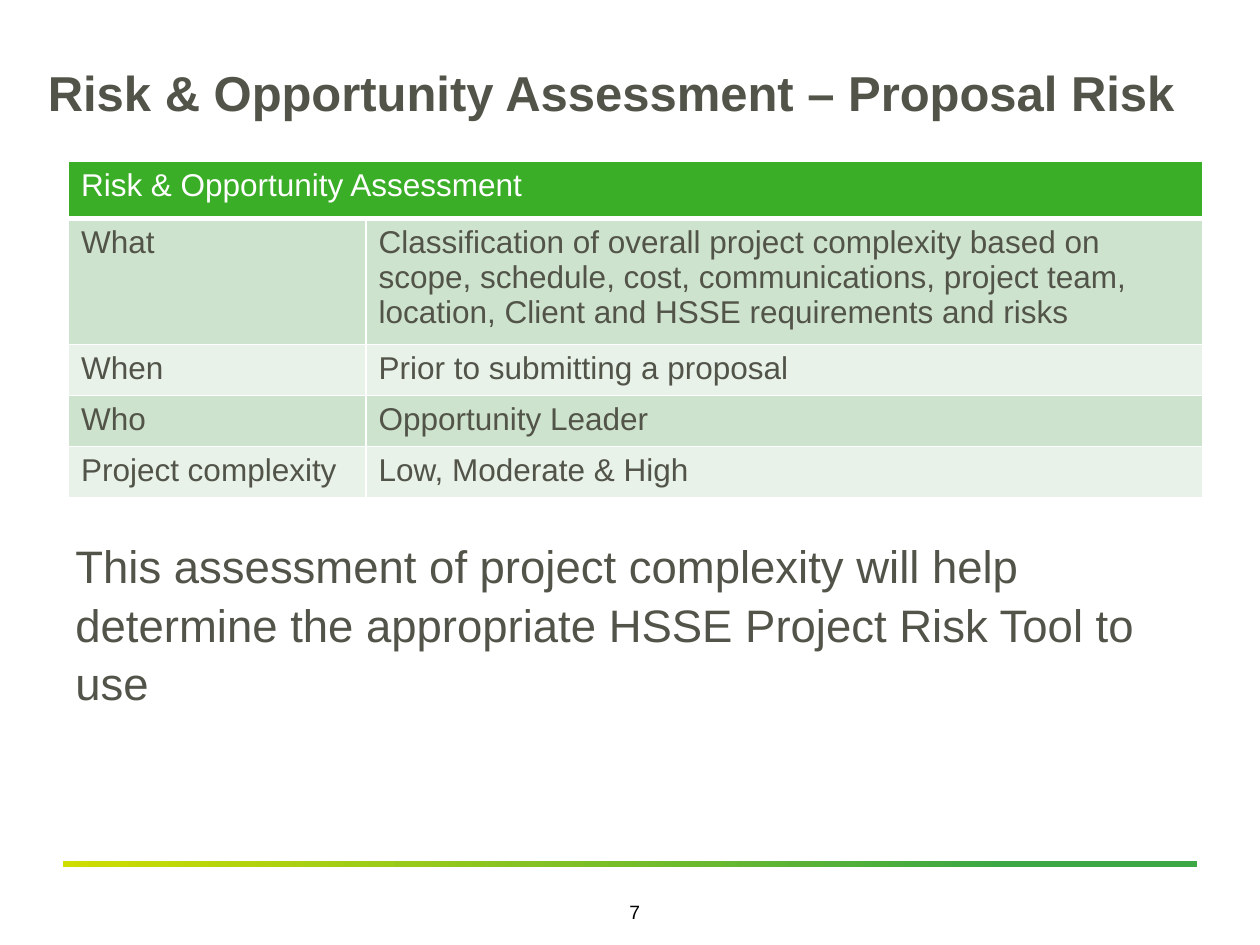
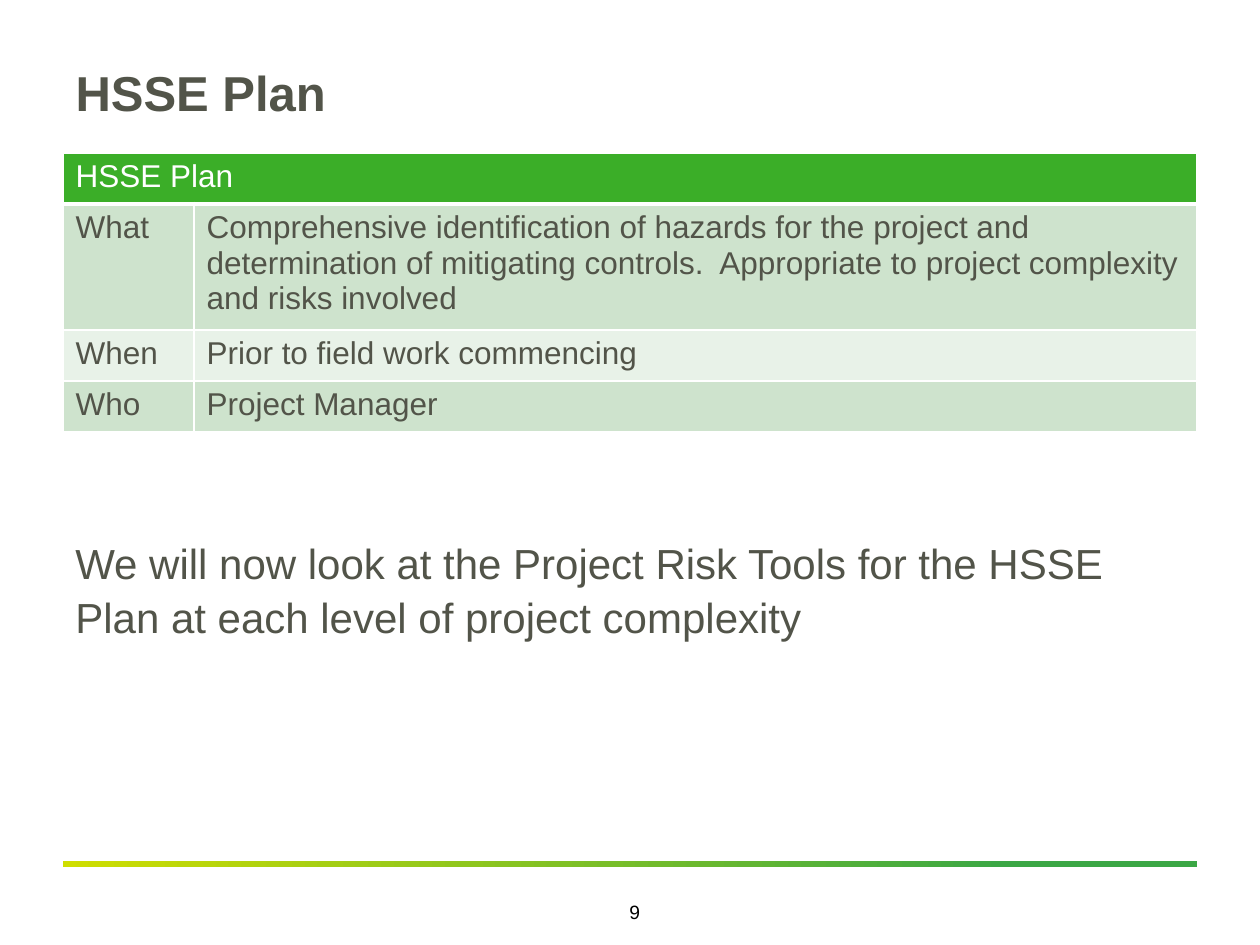
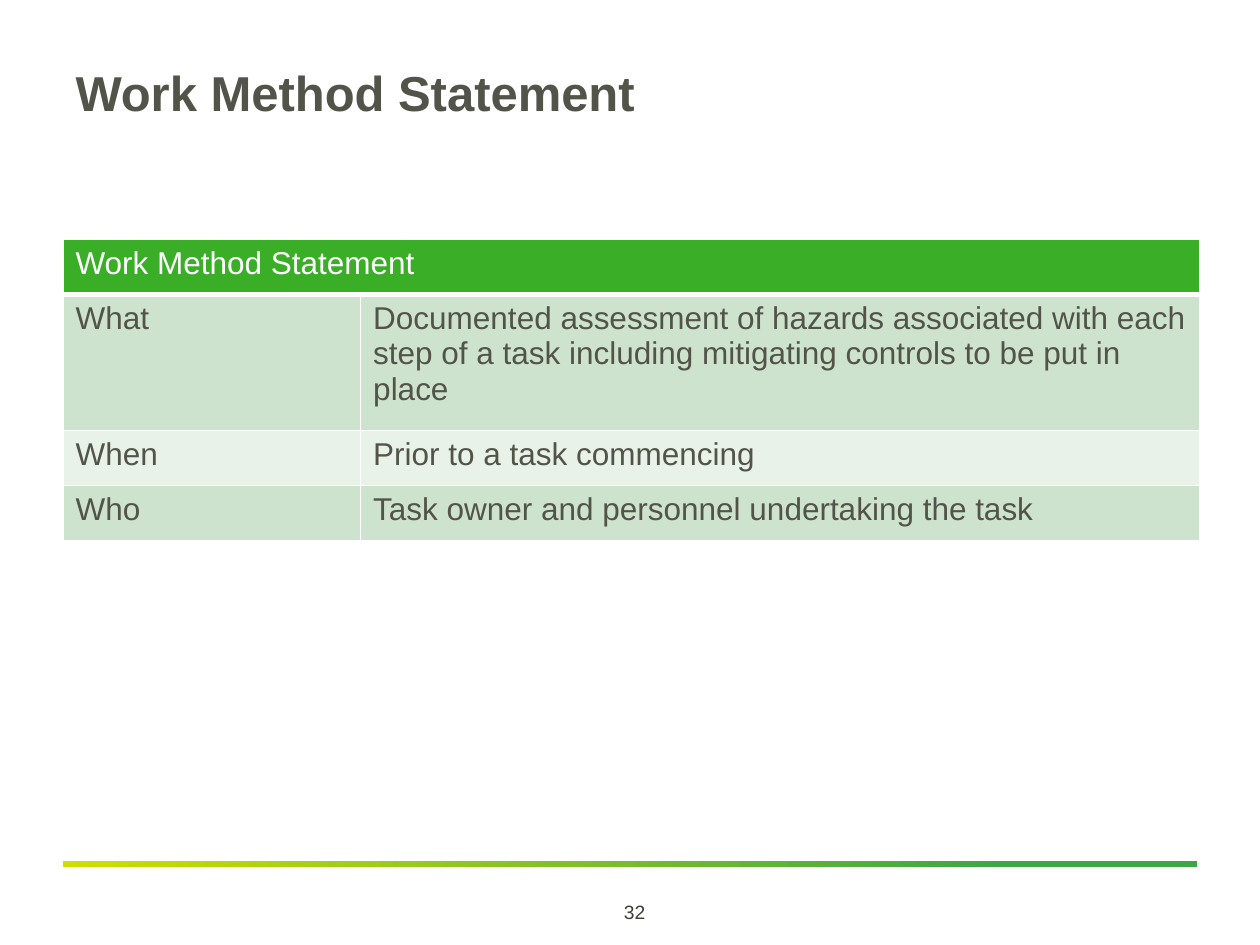
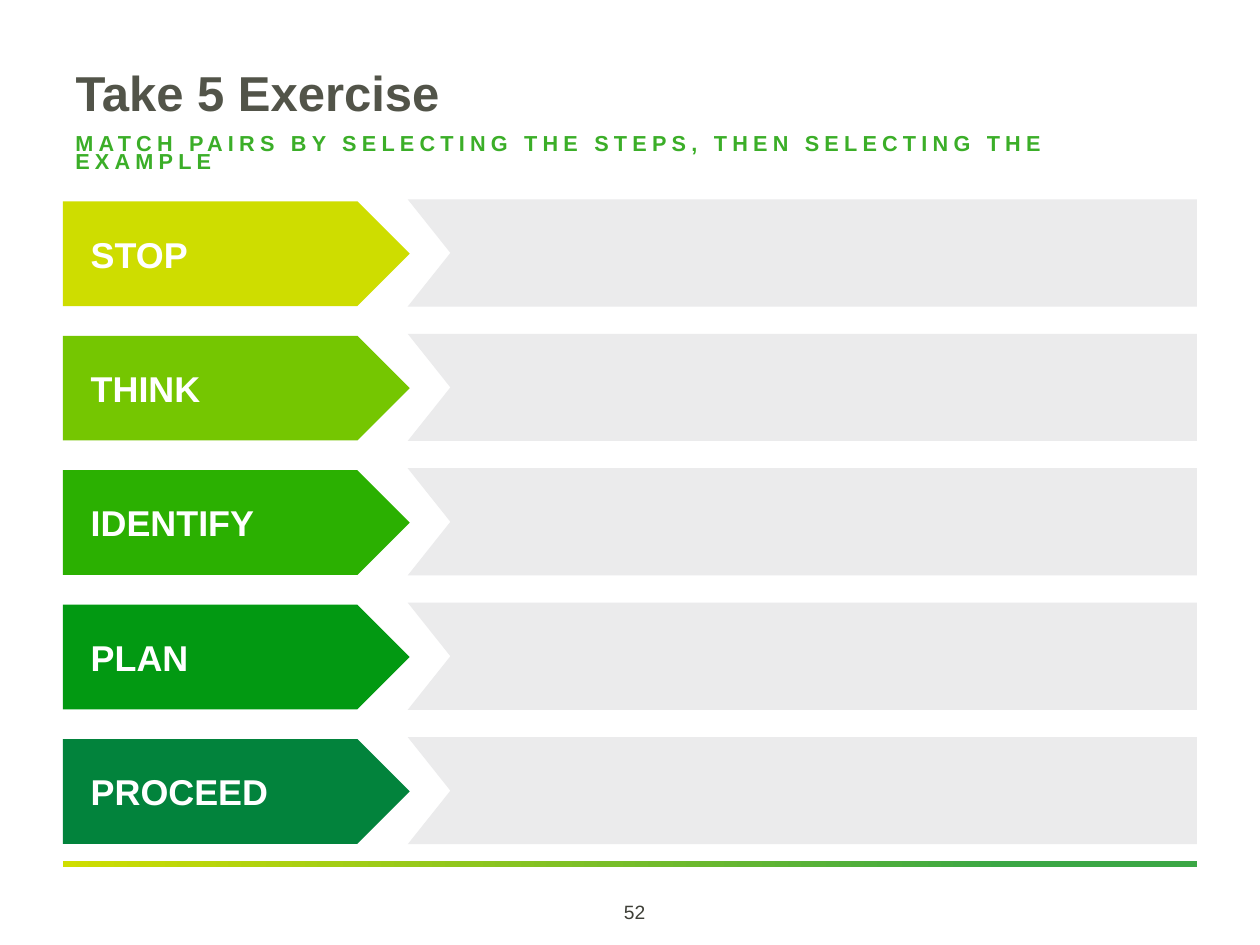
from pptx import Presentation
from pptx.dml.color import RGBColor
from pptx.enum.shapes import MSO_SHAPE as Shape
from pptx.enum.text import MSO_ANCHOR as Anchor, MSO_AUTO_SIZE as AutoSize, PP_ALIGN as Align
from pptx.oxml.ns import qn
from pptx.util import Cm, Pt
from lxml.etree import SubElement

WHITE = RGBColor(0xFF, 0xFF, 0xFF)
BLACK = RGBColor(0x00, 0x00, 0x00)
TEXT = RGBColor(0x52, 0x54, 0x49)
DARK = RGBColor(0x3E, 0x3F, 0x37)
GREEN = RGBColor(0x3B, 0xAE, 0x28)
BAND_ODD = RGBColor(0xCE, 0xE3, 0xCD)
BAND_EVEN = RGBColor(0xE8, 0xF2, 0xE8)
RULE_START = RGBColor(0xCF, 0xDE, 0x00)
RULE_END = RGBColor(0x3B, 0xA7, 0x45)
GREY = RGBColor(0xEB, 0xEB, 0xEC)
STEPS = [
    ("STOP", RGBColor(0xCE, 0xDD, 0x00)),
    ("THINK", RGBColor(0x75, 0xC6, 0x01)),
    ("IDENTIFY", RGBColor(0x2B, 0xB0, 0x01)),
    ("PLAN", RGBColor(0x02, 0x99, 0x12)),
    ("PROCEED", RGBColor(0x02, 0x83, 0x3C)),
]

LEFT, WIDTH = 1.27, 22.86  # content column, in centimetres


class Slides:
    font = "Arial"

    def __init__(self):
        self.deck = Presentation()
        self.deck.slide_width, self.deck.slide_height = Cm(25.4), Cm(19.05)
        self.page = None

    def set_text(self, para, text, size, color, bold=False, align=Align.LEFT):
        para.text = text
        para.alignment = align
        font = para.font
        font.name, font.size, font.bold = self.font, Pt(size), bold
        font.color.rgb = color

    def paint(self, shape, color):
        shape.fill.solid()
        shape.fill.fore_color.rgb = color
        shape.line.fill.background()
        shape.shadow.inherit = False

    def start(self, title, number, number_color, left=LEFT, width=WIDTH):
        """Add a slide with its title, bottom rule and number."""
        self.page = self.deck.slides.add_slide(self.deck.slide_layouts[5])
        box = self.page.shapes.title
        box.left, box.top, box.width, box.height = Cm(left), Cm(1.27), Cm(width), Cm(1.3)
        frame = box.text_frame
        frame.auto_size, frame.vertical_anchor = AutoSize.NONE, Anchor.MIDDLE
        para = frame.paragraphs[0]
        para.line_spacing = 0.9
        self.set_text(para, title, 28, TEXT, bold=True)
        self.rule()
        self.text(number, 12.12, 18.03, 1.35, 0.86, 11, number_color, align=Align.CENTER)

    def rule(self):
        bar = self.page.shapes.add_shape(
            Shape.RECTANGLE, Cm(LEFT), Cm(17.35), Cm(WIDTH), Cm(0.13))
        self.paint(bar, RULE_START)
        bar.fill.gradient()
        bar.fill.gradient_angle = 0
        stops = bar.fill.gradient_stops
        for stop, color, position in zip(stops, (RULE_START, RULE_END), (0, 0.83)):
            stop.color.rgb, stop.position = color, position

    def text(self, text, left, top, width, height, size, color,
             bold=False, align=Align.LEFT, spacing=None, anchor=Anchor.TOP):
        box = self.page.shapes.add_textbox(Cm(left), Cm(top), Cm(width), Cm(height))
        frame = box.text_frame
        frame.word_wrap, frame.vertical_anchor = True, anchor
        para = frame.paragraphs[0]
        para.line_spacing = spacing
        self.set_text(para, text, size, color, bold, align)
        return para

    def statement(self, text, size):
        self.text(text, LEFT, 10.65, WIDTH, 5.7, size, TEXT, spacing=1.07)

    def subtitle(self, text):
        para = self.text(text, LEFT, 2.64, WIDTH, 0.97, 12.4, GREEN,
                         bold=True, spacing=0.7, anchor=Anchor.MIDDLE)
        for span in para.runs:
            span.font._element.set("spc", "300")

    def borders(self, cell, bottom=1):
        properties = cell._tc.get_or_add_tcPr()
        for side, points in (("L", 1), ("R", 1), ("T", 1), ("B", bottom)):
            line = SubElement(properties, qn(f"a:ln{side}"), w=str(Pt(points)))
            fill = SubElement(line, qn("a:solidFill"))
            SubElement(fill, qn("a:srgbClr"), val=str(WHITE))

    def table(self, heading, rows, left, top, columns, heights):
        """Draw a heading row across both columns, then banded rows."""
        frame = self.page.shapes.add_table(
            len(heights), len(columns), Cm(left), Cm(top), Cm(sum(columns)), Cm(sum(heights)))
        table = frame.table
        table.first_row = table.horz_banding = False
        for column, width in zip(table.columns, columns):
            column.width = Cm(width)
        for row, height in zip(table.rows, heights):
            row.height = Cm(height)
        table.cell(0, 0).merge(table.cell(0, 1))
        for index, texts in enumerate([(heading, "")] + rows):
            band = BAND_ODD if index % 2 else BAND_EVEN
            for cell, text in zip(table.rows[index].cells, texts):
                self.borders(cell, bottom=1 if index else 3)
                cell.fill.solid()
                cell.fill.fore_color.rgb = band if index else GREEN
                if cell.is_spanned:
                    continue
                cell.text = text
                for para in cell.text_frame.paragraphs:
                    self.set_text(para, para.text, 18, TEXT if index else WHITE)

    def notched_bar(self, left, top, width, height, notch):
        right, bottom = left + width, top + height
        points = [(right, top), (right, bottom), (left, bottom), (left + notch, top + height / 2)]
        builder = self.page.shapes.build_freeform(Cm(left), Cm(top))
        builder.add_line_segments([(Cm(x), Cm(y)) for x, y in points], close=True)
        self.paint(builder.convert_to_shape(), GREY)

    def step_arrow(self, label, color, top):
        arrow = self.page.shapes.add_shape(
            Shape.PENTAGON, Cm(LEFT), Cm(top), Cm(6.99), Cm(2.11))
        arrow.adjustments[0] = 0.5
        self.paint(arrow, color)
        frame = arrow.text_frame
        frame.margin_left, frame.vertical_anchor = Cm(0.56), Anchor.MIDDLE
        self.set_text(frame.paragraphs[0], label, 20.5, WHITE, bold=True)


def main():
    slides = Slides()

    # Proposal risk
    slides.start("Risk & Opportunity Assessment – Proposal Risk", "7", BLACK, 0.71, 23.8)
    slides.table("Risk & Opportunity Assessment", [
        ("What", "Classification of overall project complexity based on scope, schedule, cost, "
                 "communications, project team, location, Client and HSSE requirements and risks"),
        ("When", "Prior to submitting a proposal"),
        ("Who", "Opportunity Leader"),
        ("Project complexity", "Low, Moderate & High"),
    ], 1.38, 3.26, [6, 16.86], [1.14, 2.38, 1.03, 1.03, 1.03])
    slides.statement("This assessment of project complexity will help determine "
                     "the appropriate HSSE Project Risk Tool to use", 26)

    # HSSE plan
    slides.start("HSSE Plan", "9", BLACK)
    slides.table("HSSE Plan", [
        ("What", "Comprehensive identification of hazards for the project and\n"
                 "determination of mitigating controls.  Appropriate to project complexity "
                 "and risks involved"),
        ("When", "Prior to field work commencing"),
        ("Who", "Project Manager"),
    ], LEFT, 3.08, [2.64, 20.22], [1.03, 2.38, 1.03, 1.03])
    slides.statement("We will now look at the Project Risk Tools for the HSSE Plan "
                     "at each level of project complexity", 24)

    # Work method statement
    slides.start("Work Method Statement", "32", DARK)
    slides.table("Work Method Statement", [
        ("What", "Documented assessment of hazards associated with each step of a task "
                 "including mitigating controls to be put in place"),
        ("When", "Prior to a task commencing"),
        ("Who", "Task owner and personnel undertaking the task"),
    ], LEFT, 4.83, [6, 16.92], [1.11, 2.74, 1.11, 1.11])

    # Take 5 exercise
    slides.start("Take 5 Exercise", "52", DARK)
    slides.subtitle("MATCH PAIRS BY SELECTING THE STEPS, THEN SELECTING THE EXAMPLE")
    for index, (label, color) in enumerate(STEPS):
        top = 4.02 + index * 2.71
        slides.notched_bar(8.22, top, 15.91, 2.16, 0.86)
        slides.step_arrow(label, color, top + 0.04)

    slides.deck.save("out.pptx")


if __name__ == "__main__":
    main()
